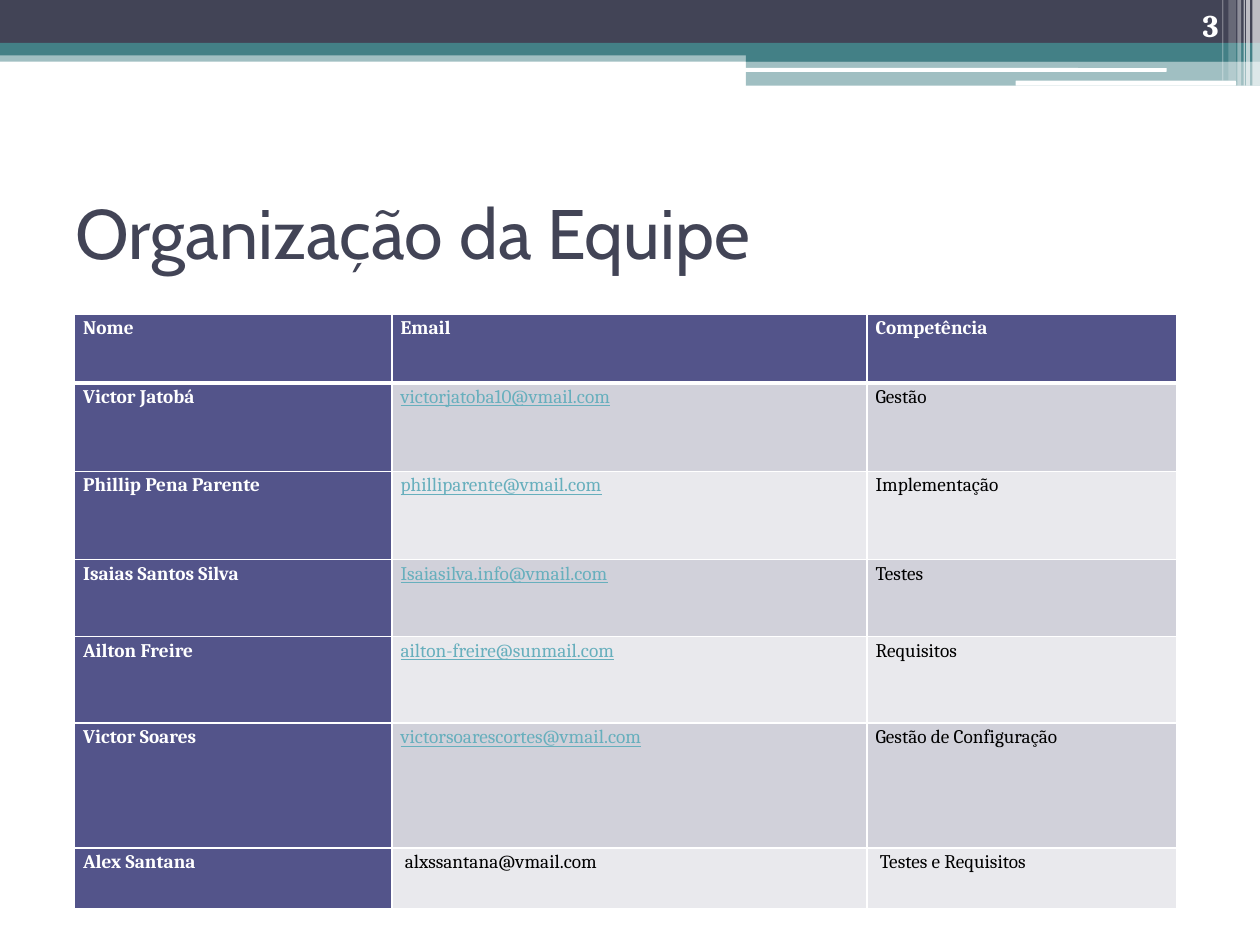
from lxml.etree import SubElement as Sub
from pptx import Presentation
from pptx.dml.color import RGBColor
from pptx.enum.shapes import MSO_SHAPE as Shape
from pptx.enum.text import MSO_ANCHOR as Anchor, PP_ALIGN as Align
from pptx.oxml.ns import qn
from pptx.util import Emu, Pt

WHITE, DARK, TEAL, PURPLE = "FFFFFF", "424456", "438086", "53548A"
BANDS = [
    (0, 40, 1000, 9, TEAL, 50),
    (0, 0, 1000, 34, DARK, 100),
    (0, 34, 1000, 10, TEAL, 100),
    (592, 39, 408, 10, TEAL, 100),
    (592, 48, 408, 20, TEAL, 50),
]
PILLS = [(591, 54, 335, 3), (806, 64, 175, 4)]
STRIPES = [
    (994, 6, 68, 65), (989, 3, 68, 65), (987, 1, 68, 60),
    (982, 3, 68, 40), (975, 6, 64, 20), (970, 1, 64, 30),
]
COLS = [252, 377, 246]
ROWS = [55, 70, 70, 61, 69, 99, 48]
TEAM = [
    ("Nome", "Email", "Competência"),
    ("Victor Jatobá", "victorjatoba10@vmail.com", "Gestão"),
    ("Phillip Pena Parente", "philliparente@vmail.com", "Implementação"),
    ("Isaias Santos Silva", "Isaiasilva.info@vmail.com", "Testes"),
    ("Ailton Freire", "ailton-freire@sunmail.com", "Requisitos"),
    ("Victor Soares", "victorsoarescortes@vmail.com", "Gestão de Configuração"),
    ("Alex Santana", " alxssantana@vmail.com", " Testes e Requisitos"),
]


def px(n):
    """Turn px, 100 to the inch, into EMU."""
    return Emu(n * 9144)


def rgb(code):
    """Turn a hex string into a colour."""
    return RGBColor.from_string(code)


def style(para, face, size, color, bold=False):
    """Set the font of a paragraph."""
    font = para.font
    font.name, font.size, font.bold = face, Pt(size), bold
    font.color.rgb = rgb(color)


def block(slide, box, color, alpha=100, kind=Shape.RECTANGLE):
    """Add a plain shape without outline."""
    shape = slide.shapes.add_shape(kind, *map(px, box))
    shape.shadow.inherit = False
    shape.line.fill.background()
    shape.fill.solid()
    shape.fill.fore_color.rgb = rgb(color)
    if alpha < 100:
        tone = shape._element.spPr.find(qn("a:solidFill"))[0]
        Sub(tone, qn("a:alpha"), val=str(alpha * 1000))


def banner(slide, left, top):
    """Draw the bands, pills and stripes along the top."""
    for x, y, w, h, color, alpha in BANDS:
        block(slide, (left + x, top + y, w, h), color, alpha)
    for x, y, w, h in PILLS:
        block(slide, (left + x, top + y, w, h), WHITE, kind=Shape.ROUNDED_RECTANGLE)
    for x, w, h, alpha in STRIPES:
        block(slide, (left + x, top, w, h), WHITE, alpha)


def heading(slide, left, top, width, height):
    """Fill and place the title."""
    title = slide.shapes.title
    title.left, title.top, title.width, title.height = map(px, (left, top, width, height))
    frame = title.text_frame
    frame.text = "Organização da Equipe"
    frame.vertical_anchor = Anchor.MIDDLE
    para = frame.paragraphs[0]
    para.alignment = Align.LEFT
    style(para, "Cabin", 40, DARK)


def edge(cell, side, width):
    """Draw one white border of a cell."""
    line = Sub(cell._tc.get_or_add_tcPr(), qn(f"a:ln{side}"), w=str(Pt(width)))
    Sub(Sub(line, qn("a:solidFill")), qn("a:srgbClr"), val=WHITE)


def entry(cell, text, row, col):
    """Fill and format one cell by its row and column."""
    head = row == 0 or col == 0
    link = col == 1 and 0 < row < len(TEAM) - 1
    cell.margin_left = cell.margin_right = px(7)
    cell.margin_top = cell.margin_bottom = 0
    for side in "LRTB":
        thick = (row, side) in ((0, "B"), (1, "T"))
        edge(cell, side, 3 if thick else 1)
    cell.fill.solid()
    cell.fill.fore_color.rgb = rgb(PURPLE if head else "D1D1DA" if row % 2 else "E9E9ED")
    cell.text = text
    para = cell.text_frame.paragraphs[0]
    para.line_spacing = 1.15
    style(para, "Cambria", 11, WHITE if head else "67AFBD" if link else "000000", head)
    para.font.underline = link


def roster(slide, left, top):
    """Add the table of the team."""
    box = map(px, (left, top, sum(COLS), sum(ROWS)))
    table = slide.shapes.add_table(len(ROWS), len(COLS), *box).table
    table.first_row = table.horz_banding = False
    for col, width in zip(table.columns, COLS):
        col.width = px(width)
    for row, height in zip(table.rows, ROWS):
        row.height = px(height)
    for i, line in enumerate(TEAM):
        for j, text in enumerate(line):
            entry(table.cell(i, j), text, i, j)


def number(slide, left, top, width, height):
    """Add the page number."""
    frame = slide.shapes.add_textbox(*map(px, (left, top, width, height))).text_frame
    frame.word_wrap = True
    frame.vertical_anchor = Anchor.BOTTOM
    frame.text = "3"
    para = frame.paragraphs[0]
    para.alignment = Align.RIGHT
    style(para, "Cambria", 18, WHITE, True)


def main():
    """Build and save the slide."""
    deck = Presentation()
    deck.slide_width, deck.slide_height = px(1000), px(750)
    slide = deck.slides.add_slide(deck.slide_layouts[5])
    banner(slide, 0, 0)
    heading(slide, 50, 125, 900, 117)
    roster(slide, 59, 249)
    number(slide, 894, 0, 83, 40)
    deck.save("out.pptx")


if __name__ == "__main__":
    main()
